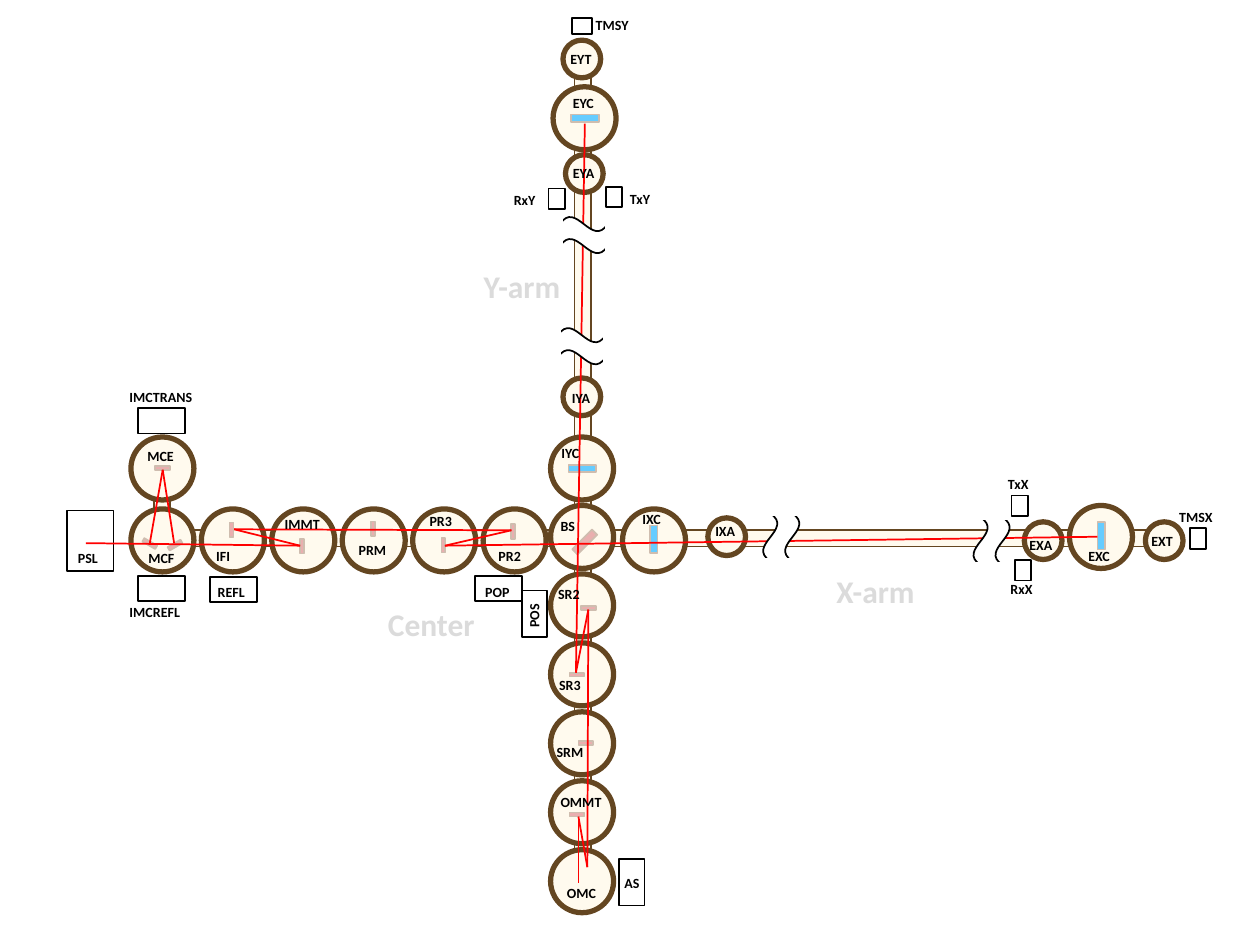
from itertools import pairwise

from lxml import etree
from pptx import Presentation
from pptx import util as u
from pptx.dml.color import RGBColor
from pptx.enum import shapes, text
from pptx.oxml.ns import qn

CREAM = RGBColor(0xFF, 0xFA, 0xEE)
BROWN = RGBColor(0x64, 0x46, 0x21)
BLUE = RGBColor(0x66, 0xCC, 0xFF)
PINK = RGBColor(0xE9, 0xAF, 0xAF)
TAUPE = RGBColor(0xCF, 0xBD, 0xAF)
RED = RGBColor(0xFF, 0x00, 0x00)
WHITE = RGBColor(0xFF, 0xFF, 0xFF)
BLACK = RGBColor(0x00, 0x00, 0x00)
GRAY = RGBColor(0xDB, 0xDB, 0xDB)
RECTANGLE = shapes.MSO_SHAPE.RECTANGLE
OVAL = shapes.MSO_SHAPE.OVAL


def add_part(parent, kind, box, fill, line, width=1, rotation=0):
    shape = parent.add_shape(kind, *[u.Cm(value) for value in box])
    shape.shadow.inherit = False
    shape.fill.solid()
    shape.fill.fore_color.rgb = fill
    shape.line.color.rgb = line
    shape.line.width = u.Pt(width)
    shape.rotation = rotation
    return shape


def add_path(parent, points, color, width=1):
    for start, end in pairwise(points):
        connector = parent.add_connector(
            shapes.MSO_CONNECTOR.STRAIGHT, *[u.Cm(value) for value in start + end])
        connector.line.color.rgb = color
        connector.line.width = u.Pt(width)
        etree.SubElement(connector._element.spPr, qn("a:effectLst"))


presentation = Presentation()
presentation.slide_width = u.Cm(25.4)
presentation.slide_height = u.Cm(19.05)
slide = presentation.slides.add_slide(presentation.slide_layouts[6])
parts = slide.shapes

for left, top, length, rotation in [
    (2.77, 10.24, 0.99, 90), (3.3, 9.53, 16.89, 90), (2.77, 10.69, 21.01, 0),
]:
    add_part(parts, RECTANGLE, (left, top, length, 0.33), CREAM, BROWN, rotation=rotation)

large_chambers = [(2.64 + 1.42 * column, 10.26) for column in range(6)]
large_chambers += [(11.1, 11.57 + 1.39 * row) for row in range(5)]
large_chambers += [(11.1, 10.19), (11.1, 8.81), (2.64, 8.81),
                   (12.55, 10.26), (11.15, 1.75), (21.56, 10.19)]
small_chambers = [(11.4, 3.12), (11.35, 7.62), (11.35, 0.81),
                  (14.27, 10.44), (20.65, 10.52), (23.09, 10.52)]
for chambers, diameter in [(large_chambers, 1.27), (small_chambers, 0.76)]:
    for left, top in chambers:
        add_part(parts, OVAL, (left, top, diameter, diameter), CREAM, BROWN, 3)

for left, top, rotation, fill in [
    (11.46, 9.37, 0, BLUE), (11.51, 2.31, 0, BLUE), (12.9, 10.8, 270, BLUE),
    (21.92, 10.72, 270, BLUE), (11.51, 10.85, 315, PINK),
]:
    add_part(parts, RECTANGLE, (left, top, 0.56, 0.15), fill, TAUPE, rotation=rotation)

for left, top, rotation in [
    (7.37, 10.62, 270), (10.19, 10.67, 270), (4.52, 10.64, 270),
    (8.79, 10.95, 270), (5.94, 10.97, 270), (11.71, 12.22, 180),
    (11.48, 13.56, 180), (11.66, 14.94, 180), (11.48, 16.38, 180),
    (3.12, 9.4, 180), (2.87, 10.92, 30), (3.38, 10.95, 330),
]:
    add_part(parts, RECTANGLE, (left, top, 0.3, 0.08), PINK, TAUPE, rotation=rotation)

for beam in [
    [(22.12, 10.82), (8.97, 11), (10.31, 10.69), (4.72, 10.67), (6.05, 11)],
    [(3.51, 10.95), (3.28, 9.47), (3.02, 10.95)],
    [(11.79, 2.49), (11.61, 13.56), (11.86, 12.29), (11.84, 17.48),
     (11.66, 16.46), (11.66, 17.81)],
]:
    add_path(parts, beam, RED)

for center_x, center_y, rotation in [
    (15.75, 10.83, 270), (19.99, 10.91, 270), (11.77, 4.74, 0), (11.73, 6.98, 0),
]:
    group = parts.add_group_shape()
    wave = add_part(group.shapes, shapes.MSO_SHAPE.WAVE,
                    (center_x - 0.48, center_y - 0.37, 0.96, 0.74), WHITE, BLACK, rotation=rotation)
    wave.adjustments[0] = 0.2
    wave.adjustments[1] = 0
    for across in (-0.48, 0.48):
        ends = [(across, along) for along in (-0.37, 0.37)]
        if rotation:
            ends = [(y, x) for x, y in ends]
        add_path(group.shapes, [(center_x + x, center_y + y) for x, y in ends], WHITE, 3)

add_part(parts, RECTANGLE, (1.35, 10.29, 0.94, 1.22), WHITE, BLACK)
tables = [(2.79, 11.61, 0), (4.24, 11.63, 0), (9.58, 11.61, 0),
          (10.31, 12.12, 270), (12.27, 17.53, 270), (2.79, 8.23, 0)]
stations = [(20.42, 11.33, 270), (20.35, 10.03, 270), (11.02, 3.84, 270),
            (12.17, 3.81, 270), (23.95, 10.69, 270), (11.53, 0.36, 0)]
for boxes, width, height in [(tables, 0.94, 0.51), (stations, 0.41, 0.33)]:
    for left, top, rotation in boxes:
        add_part(parts, RECTANGLE, (left, top, width, height), WHITE, BLACK, rotation=rotation)
add_path(parts, [(6.05, 11), (1.73, 10.95)], RED)

labels = [
    ("BS", 11.05, 10.31, 1.12), ("SR2", 11, 11.68, 1.35), ("SR3", 11.02, 13.51, 1.35),
    ("SRM", 10.97, 14.86, 1.35), ("OMC", 11.18, 17.7, 1.35), ("OMMT", 11.05, 15.88, 1.57),
    ("IXC", 12.7, 10.16, 1.35), ("IXA", 14.17, 10.41, 1.35), ("EXA", 20.5, 10.69, 1.35),
    ("EXC", 21.69, 10.92, 1.35), ("EXT", 22.96, 10.62, 1.35), ("EYT", 11.25, 0.89, 1.35),
    ("EYC", 11.3, 1.78, 1.35), ("EYA", 11.3, 3.2, 1.35), ("IYA", 11.28, 7.72, 1.35),
    ("IYC", 11.07, 8.84, 1.35), ("PR2", 9.8, 10.92, 1.35), ("PR3", 8.41, 10.21, 1.35),
    ("PRM", 6.98, 10.8, 1.35), ("IMMT", 5.49, 10.26, 1.35), ("IFI", 4.11, 10.92, 1.35),
    ("MCF", 2.74, 10.95, 1.35), ("MCE", 2.72, 8.89, 1.35), ("PSL", 1.32, 10.95, 1.04),
    ("IMCREFL", 2.36, 12.04, 1.75), ("REFL", 4.14, 11.63, 1.27),
    ("IMCTRANS", 2.36, 7.7, 2.13), ("POP", 9.53, 11.63, 1.22), ("POS", 10.16, 11.99, 1.22),
    ("AS", 12.34, 17.5, 1.22), ("TMSX", 23.52, 10.13, 1.45), ("TMSY", 11.76, 0.2, 1.45),
    ("TxY", 12.45, 3.71, 1.45), ("RxY", 10.11, 3.73, 1.09), ("TxX", 20.07, 9.47, 1.45),
    ("RxX", 20.12, 11.58, 1.09),
]
areas = [("Center", 7.57, 12.07, 2.26), ("Y-arm", 9.5, 5.26, 2.11), ("X-arm", 16.61, 11.4, 2.13)]
for entries, size, height, color, wrap in [
    (labels, 8, 0.61, BLACK, True), (areas, 18, 1.02, GRAY, False),
]:
    for wording, left, top, width in entries:
        label = parts.add_textbox(u.Cm(left), u.Cm(top), u.Cm(width), u.Cm(height))
        label.rotation = 270 if wording == "POS" else 0
        frame = label.text_frame
        frame.word_wrap = wrap
        frame.auto_size = text.MSO_AUTO_SIZE.SHAPE_TO_FIT_TEXT
        paragraph = frame.paragraphs[0]
        paragraph.text = wording
        paragraph.font.name = "Calibri"
        paragraph.font.size = u.Pt(size)
        paragraph.font.bold = True
        paragraph.font.color.rgb = color

presentation.save("out.pptx")
